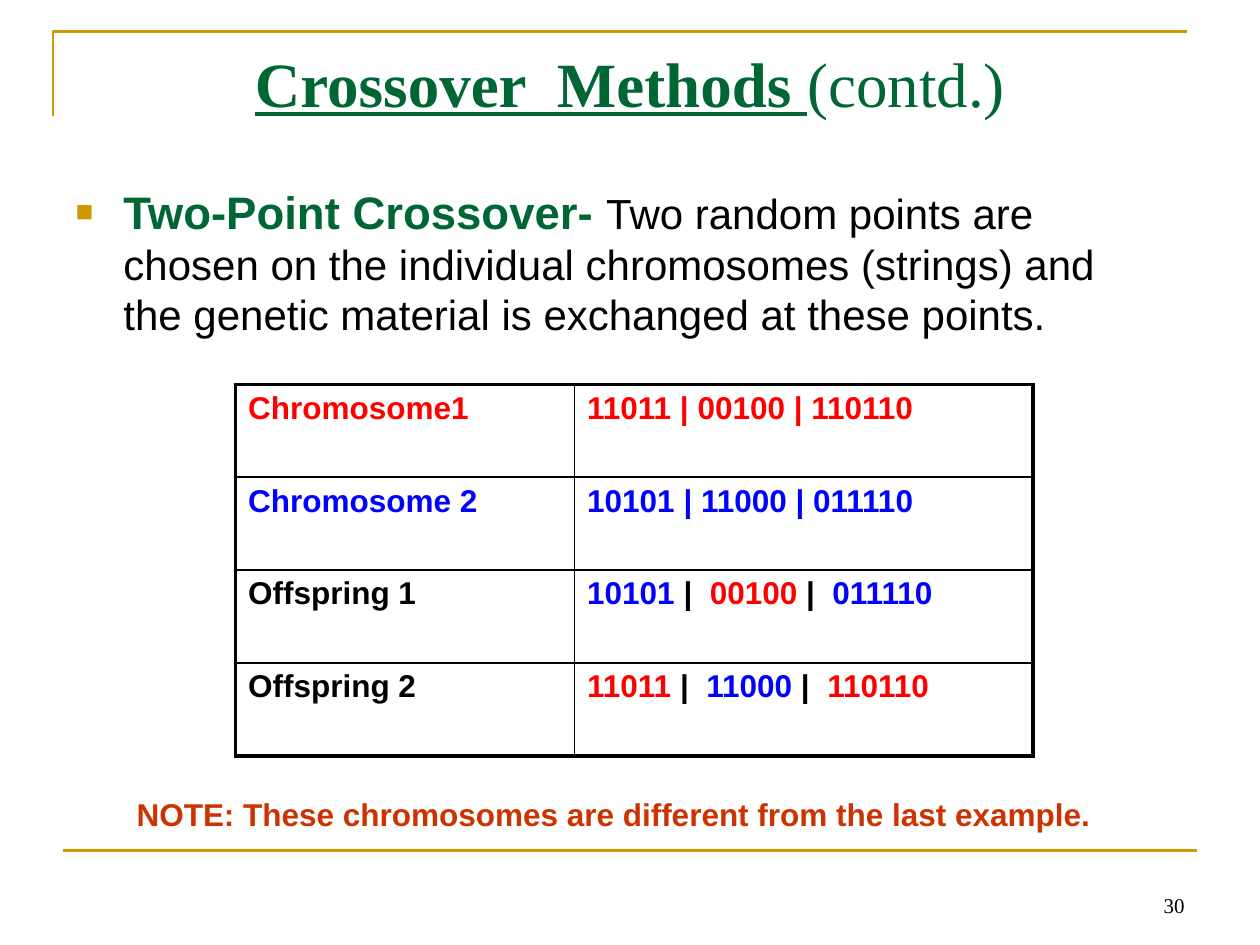
from dataclasses import dataclass

from lxml.etree import SubElement
from pptx import Presentation
from pptx.dml.color import RGBColor
from pptx.enum.shapes import MSO_CONNECTOR
from pptx.enum.text import MSO_ANCHOR, MSO_AUTO_SIZE, PP_ALIGN
from pptx.oxml.ns import qn
from pptx.util import Inches, Pt


@dataclass(frozen=True)
class Theme:
    """Colours, fonts and sizes of the slide."""

    gold: str = "CC9900"
    green: str = "006633"
    black: str = "000000"
    red: str = "FF0000"
    blue: str = "0000FF"
    rust: str = "CC3300"
    sans: str = "Arial"
    serif: str = "Times New Roman"
    title_size: int = 36
    lead_size: int = 26
    body_size: int = 24
    table_size: int = 18
    number_size: int = 12
    rule_width: float = 1.5
    outer_border: float = 2.25
    inner_border: float = 1


THEME = Theme()
WIDTH, HEIGHT = Inches(10), Inches(7.5)

TABLE_ROWS = [
    ([("Chromosome1", THEME.red)], [("11011 | 00100 | 110110", THEME.red)]),
    ([("Chromosome 2", THEME.blue)], [("10101 | 11000 | 011110", THEME.blue)]),
    (
        [("Offspring 1", THEME.black)],
        [("10101 ", THEME.blue), ("| ", THEME.black), (" 00100 ", THEME.red),
         ("|", THEME.black), ("  011110", THEME.blue)],
    ),
    (
        [("Offspring 2", THEME.black)],
        [("11011 ", THEME.red), ("|  ", THEME.black), ("11000 ", THEME.blue),
         ("|", THEME.black), ("  110110", THEME.red)],
    ),
]


def box(left, top, width, height):
    """Return a box in slide units from lengths in inches."""
    return tuple(Inches(length) for length in (left, top, width, height))


def place(shape, area):
    """Move and size a shape to fill the area."""
    shape.left, shape.top, shape.width, shape.height = area


def add_run(paragraph, text, size, color, font=THEME.sans, bold=False, underline=False):
    """Append one formatted run to a paragraph."""
    run = paragraph.add_run()
    run.text = text
    run.font.name = font
    run.font.size = Pt(size)
    run.font.bold = bold
    run.font.underline = underline
    run.font.color.rgb = RGBColor.from_string(color)


def style_rule(shape):
    """Give a line its gold stroke."""
    shape.line.color.rgb = RGBColor.from_string(THEME.gold)
    shape.line.width = Pt(THEME.rule_width)


def add_frame(slide, corner, footer):
    """Draw the corner bracket and the footer rule."""
    left, top, width, height = corner
    builder = slide.shapes.build_freeform(left, top + height)
    builder.add_line_segments([(left, top), (left + width, top)], close=False)
    bracket = builder.convert_to_shape()
    bracket.shadow.inherit = False
    bracket.fill.background()
    style_rule(bracket)

    left, top, width, height = footer
    rule = slide.shapes.add_connector(
        MSO_CONNECTOR.STRAIGHT, left, top, left + width, top + height)
    SubElement(rule._element.spPr, qn("a:effectLst"))
    style_rule(rule)


def fill_title(title, area):
    """Write the heading in the title placeholder."""
    place(title, area)
    frame = title.text_frame
    frame.auto_size = MSO_AUTO_SIZE.NONE
    frame.vertical_anchor = MSO_ANCHOR.TOP
    paragraph = frame.paragraphs[0]
    paragraph.alignment = PP_ALIGN.CENTER
    add_run(paragraph, "Crossover  Methods ", THEME.title_size, THEME.green,
            THEME.serif, bold=True, underline=True)
    add_run(paragraph, "(contd.)", THEME.title_size, THEME.green, THEME.serif)


def add_bullet(paragraph, indent):
    """Give a paragraph a gold square bullet with a hanging indent."""
    properties = paragraph._p.get_or_add_pPr()
    properties.set("marL", str(indent))
    properties.set("indent", str(-indent))
    color = SubElement(properties, qn("a:buClr"))
    SubElement(color, qn("a:srgbClr"), val=THEME.gold)
    SubElement(properties, qn("a:buSzPct"), val="65000")
    SubElement(properties, qn("a:buFont"), typeface=THEME.sans)
    SubElement(properties, qn("a:buChar"), char="■")


def fill_body(body, area):
    """Write the definition in the body placeholder."""
    place(body, area)
    frame = body.text_frame
    frame.auto_size = MSO_AUTO_SIZE.NONE
    paragraph = frame.paragraphs[0]
    add_bullet(paragraph, Inches(0.38))
    paragraph.space_before = Pt(0)
    add_run(paragraph, "Two-Point Crossover- ", THEME.lead_size, THEME.green, bold=True)
    add_run(paragraph, "Two random points are chosen on the individual chromosomes "
            "(strings) and the genetic material is exchanged at these points.",
            THEME.body_size, THEME.black)


def set_borders(cell, outer_edges):
    """Draw the four borders of a cell, thicker on the outer edges."""
    properties = cell._tc.get_or_add_tcPr()
    for side, is_outer in outer_edges.items():
        width = THEME.outer_border if is_outer else THEME.inner_border
        line = SubElement(properties, qn(f"a:ln{side}"), w=str(Pt(width)))
        fill = SubElement(line, qn("a:solidFill"))
        SubElement(fill, qn("a:srgbClr"), val=THEME.black)


def add_crossover_table(slide, area, rows, shares):
    """Add the table of parents and offspring."""
    table = slide.shapes.add_table(len(rows), len(shares), *area).table
    table.first_row = table.horz_banding = False
    for column, share in zip(table.columns, shares):
        column.width = round(area[2] * share)
    last_row, last_column = len(rows) - 1, len(shares) - 1
    for row_index, row in enumerate(rows):
        for column_index, pieces in enumerate(row):
            cell = table.cell(row_index, column_index)
            set_borders(cell, {
                "L": column_index == 0, "R": column_index == last_column,
                "T": row_index == 0, "B": row_index == last_row,
            })
            cell.fill.background()
            paragraph = cell.text_frame.paragraphs[0]
            for text, color in pieces:
                add_run(paragraph, text, THEME.table_size, color, bold=True)


def add_label(slide, area, text, alignment, anchor, **style):
    """Add a one-line text box."""
    frame = slide.shapes.add_textbox(*area).text_frame
    frame.word_wrap = True
    frame.vertical_anchor = anchor
    paragraph = frame.paragraphs[0]
    paragraph.alignment = alignment
    add_run(paragraph, text, **style)


def main():
    """Build the slide and save it."""
    presentation = Presentation()
    presentation.slide_width, presentation.slide_height = WIDTH, HEIGHT
    slide = presentation.slides.add_slide(presentation.slide_layouts[1])
    add_frame(slide, box(0.42, 0.25, 9, 0.67), box(0.5, 6.75, 9, 0))
    fill_title(slide.shapes.title, box(0.5, 0.3, 9, 1.25))
    fill_body(slide.placeholders[1], box(0.5, 1.41, 8.75, 1.43))
    add_crossover_table(slide, box(1.87, 3.05, 6.33, 2.95), TABLE_ROWS, (0.425, 0.575))
    add_label(slide, box(0.83, 6.26, 8.08, 0.4),
              "NOTE: These chromosomes are different from the last example.",
              PP_ALIGN.CENTER, MSO_ANCHOR.TOP,
              size=THEME.table_size, color=THEME.rust, bold=True)
    add_label(slide, box(7.17, 6.83, 2.33, 0.5), "30", PP_ALIGN.RIGHT, MSO_ANCHOR.BOTTOM,
              size=THEME.number_size, color=THEME.black, font=THEME.serif)
    presentation.save("out.pptx")


if __name__ == "__main__":
    main()
